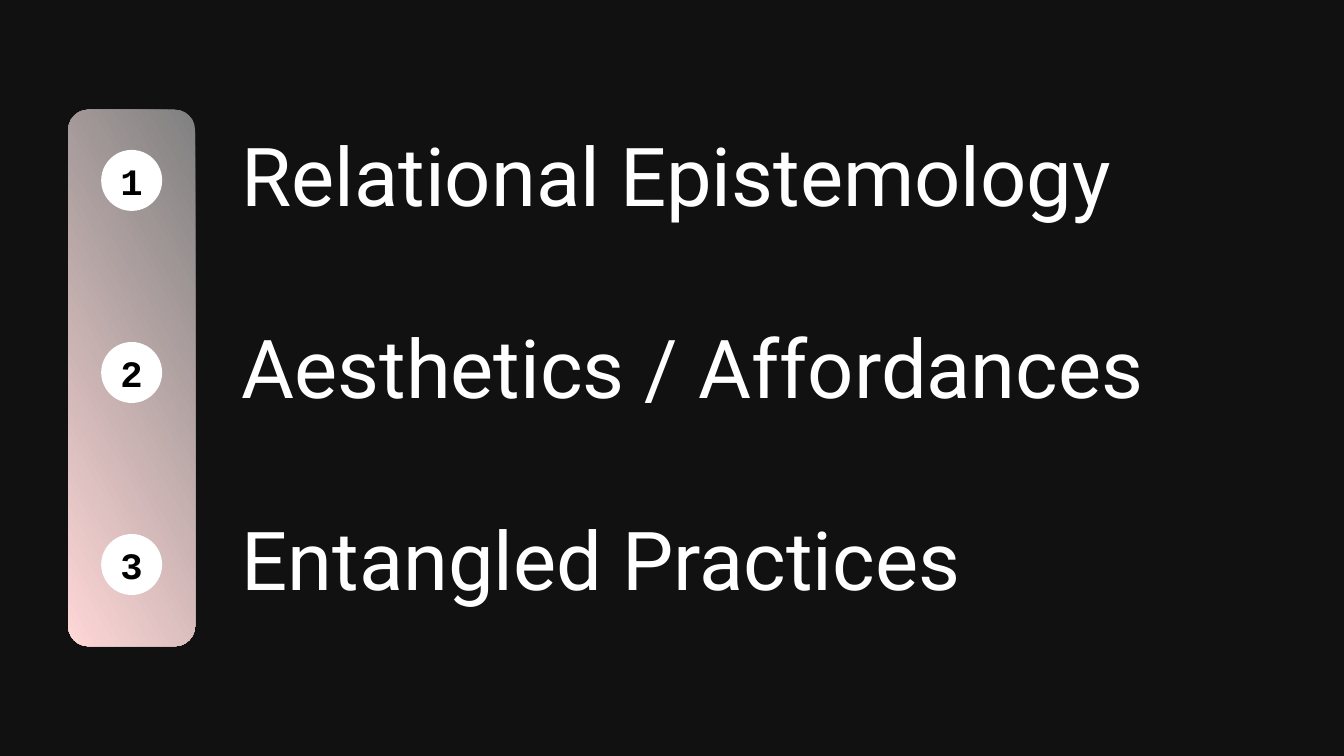
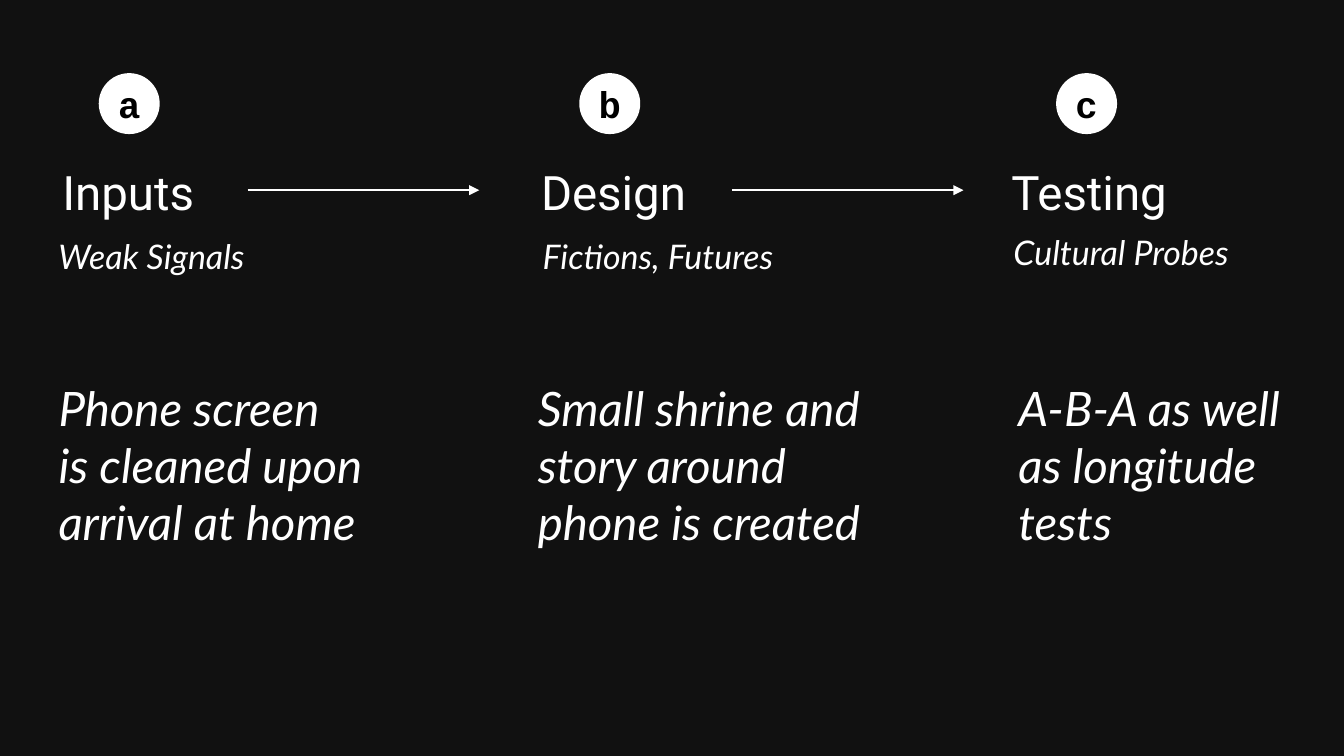
from lxml.etree import SubElement
from pptx import Presentation
from pptx.dml.color import RGBColor
from pptx.enum.shapes import MSO_CONNECTOR as Connector, MSO_SHAPE as Shape
from pptx.enum.text import MSO_ANCHOR as Anchor, MSO_AUTO_SIZE as AutoSize, PP_ALIGN as Align
from pptx.oxml.ns import qn
from pptx.util import Inches, Pt


def color(value):
    return RGBColor.from_string(value)


def write(frame, text, font, size, ink, bold=False, italic=False, align=Align.LEFT):
    for index, line in enumerate(text.split("\n")):
        para = frame.paragraphs[0] if index == 0 else frame.add_paragraph()
        para.alignment = align
        span = para.add_run()
        span.text = line
        span.font.name = font
        span.font.size = Pt(size)
        span.font.bold = bold
        span.font.italic = italic
        span.font.color.rgb = color(ink)


class Designer:
    BACKGROUND = "111111"
    LIGHT = "FFFFFF"
    DARK = "000000"
    BAND_START = "808080"
    BAND_END = "FFD7D7"
    HEADING_FONT = "Roboto"
    NOTE_FONT = "Lato"
    BADGE_FONT = "Courier New"
    BADGE_SIZE = 0.5

    def __init__(self):
        self.deck = Presentation()
        self.deck.slide_width = Inches(11.02)
        self.deck.slide_height = Inches(6.2)
        fill = self.deck.slide_master.background.fill
        fill.solid()
        fill.fore_color.rgb = color(self.BACKGROUND)
        self.page = None

    def new_page(self):
        self.page = self.deck.slides.add_slide(self.deck.slide_layouts[6])

    def shape(self, kind, left, top, width, height):
        shape = self.page.shapes.add_shape(
            kind, Inches(left), Inches(top), Inches(width), Inches(height))
        shape.shadow.inherit = False
        shape.line.fill.background()
        return shape

    def band(self, left, top, width, height):
        band = self.shape(Shape.ROUNDED_RECTANGLE, left, top, width, height)
        band.adjustments[0] = 0.16
        band.fill.gradient()
        band.fill.gradient_angle = 210
        for stop, value in zip(band.fill.gradient_stops, (self.BAND_START, self.BAND_END)):
            stop.color.rgb = color(value)

    def badge(self, mark, left, top):
        badge = self.shape(Shape.OVAL, left, top, self.BADGE_SIZE, self.BADGE_SIZE)
        badge.fill.solid()
        badge.fill.fore_color.rgb = color(self.LIGHT)
        frame = badge.text_frame
        frame.word_wrap = False
        frame.vertical_anchor = Anchor.MIDDLE
        write(frame, mark, self.BADGE_FONT, 22, self.DARK, bold=True, align=Align.CENTER)

    def text(self, text, left, top, width, height, font, size, **style):
        box = self.page.shapes.add_textbox(
            Inches(left), Inches(top), Inches(width), Inches(height))
        frame = box.text_frame
        frame.word_wrap = True
        frame.auto_size = AutoSize.SHAPE_TO_FIT_TEXT
        frame.margin_left = frame.margin_right = frame.margin_top = frame.margin_bottom = 0
        write(frame, text, font, size, self.LIGHT, **style)

    def heading(self, text, left, top, width, height, size, **style):
        self.text(text, left, top, width, height, self.HEADING_FONT, size, **style)

    def note(self, text, left, top, width, height, size):
        self.text(text, left, top, width, height, self.NOTE_FONT, size, italic=True)

    def arrow(self, left, top, length):
        arrow = self.page.shapes.add_connector(
            Connector.STRAIGHT, Inches(left), Inches(top), Inches(left + length), Inches(top))
        arrow.line.color.rgb = color(self.LIGHT)
        arrow.line.width = Pt(1)
        SubElement(arrow.line._get_or_add_ln(), qn("a:tailEnd"), type="triangle")
        SubElement(arrow._element.spPr, qn("a:effectLst"))


def build_topics(designer):
    designer.new_page()
    designer.band(0.56, 0.9, 1.04, 4.4)
    topics = ("Relational Epistemology", "Aesthetics / Affordances", "Entangled Practices")
    for index, topic in enumerate(topics):
        top = 1.03 + index * 1.575
        designer.heading(topic, 1.98, top, 8.01, 1.28, 48)
        designer.badge(str(index + 1), 0.83, top + 0.2)


def build_process(designer):
    designer.new_page()
    stages = (
        ("a", 0.81, ("Inputs", 0.19), ("Weak Signals", 0.48, 1.93, 1.7),
         ("Phone screen\nis cleaned upon arrival at home", 0.48, 2.72)),
        ("b", 4.75, ("Design", 4.17), ("Fictions, Futures", 4.45, 1.93, 2.61),
         ("Small shrine and story around phone is created", 4.41, 2.99)),
        ("c", 8.66, ("Testing", 8.07), ("Cultural Probes", 8.31, 1.9, 2.61),
         ("A-B-A as well as longitude\ntests", 8.35, 2.55)),
    )
    for mark, badge_left, (title, title_left), subtitle, (detail, detail_left, width) in stages:
        designer.badge(mark, badge_left, 0.6)
        designer.heading(title, title_left, 1.34, 1.72, 0.57, 28, align=Align.CENTER)
        designer.note(*subtitle, 0.57, 20)
        designer.note(detail, detail_left, 3.11, width, 1.59, 28)
    for left in (2.03, 6):
        designer.arrow(left, 1.56, 1.9)


def main():
    designer = Designer()
    build_topics(designer)
    build_process(designer)
    designer.deck.save("out.pptx")


if __name__ == "__main__":
    main()
